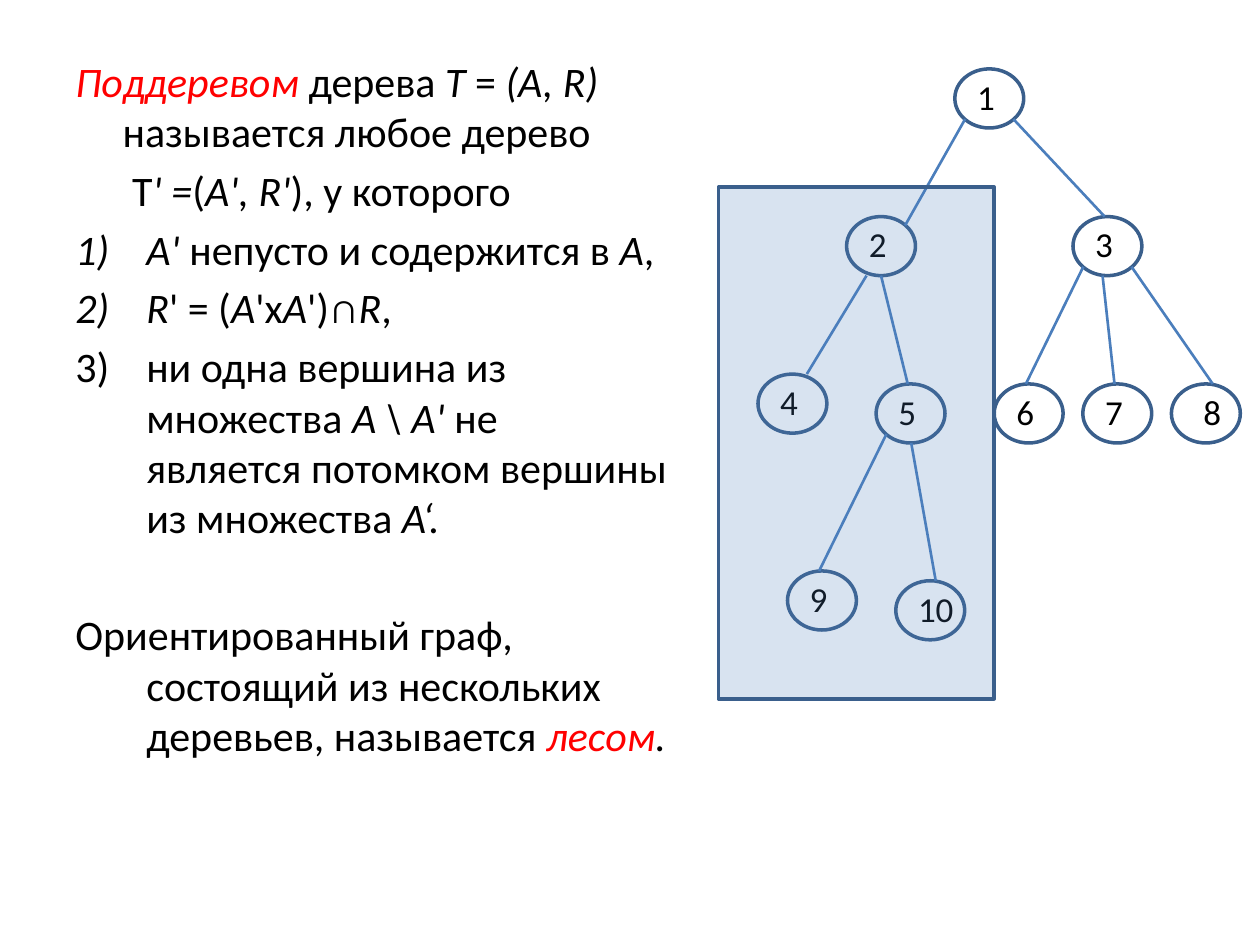
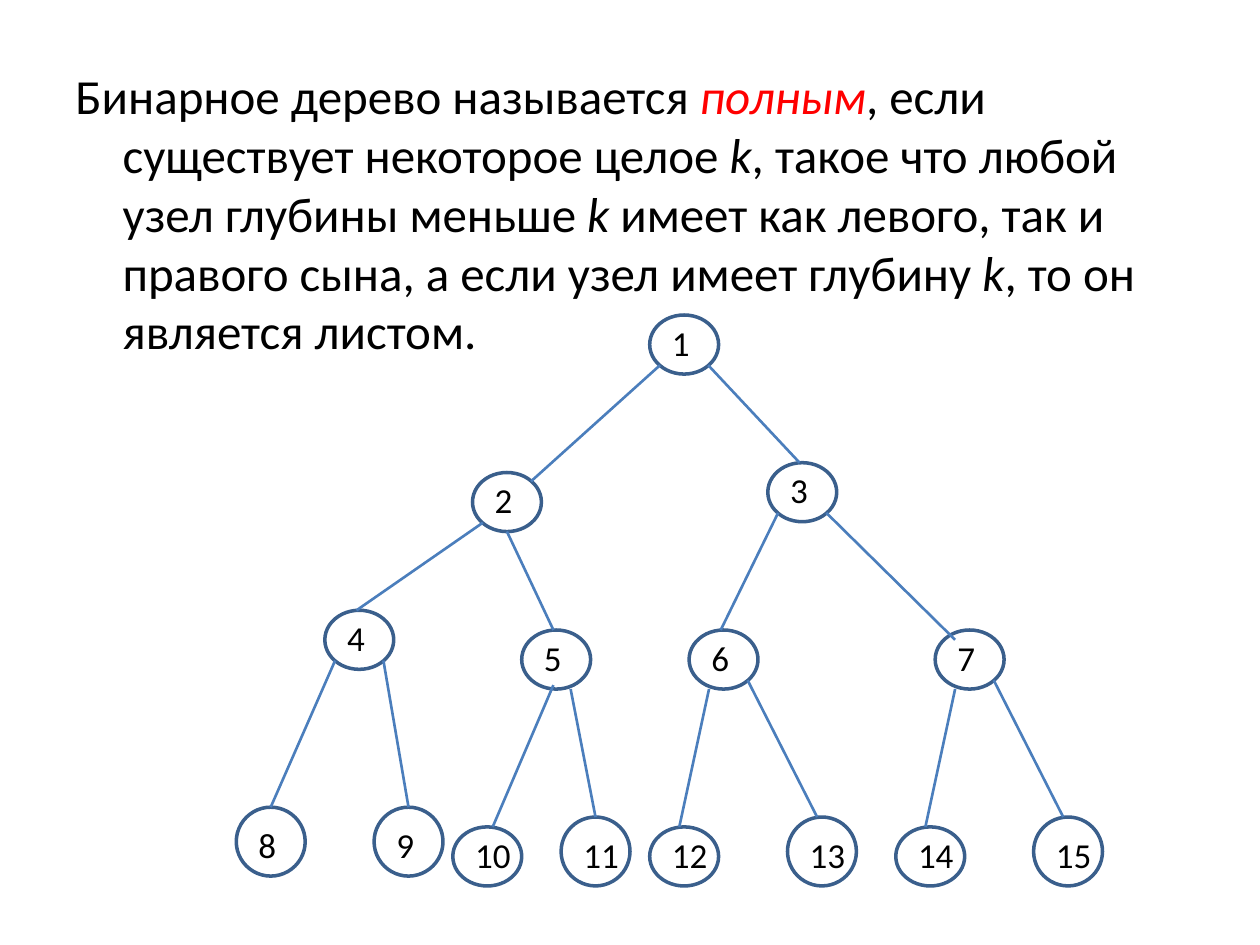
"""Builds two slides on subtrees and complete binary trees."""
import pptx
import pptx.dml.color
import pptx.enum.shapes
import pptx.enum.text
import pptx.oxml.ns
import pptx.util
from lxml import etree

Pt = pptx.util.Pt
SHAPE = pptx.enum.shapes.MSO_SHAPE
COLORS = {"text": "000000", "term": "FF0000", "outline": "3A5F8C", "edge": "4B7EBC", "subtree": "4F81BD"}
FORMATS = {
    "plain": {"italic": False},
    "math": {"italic": True},
    "term": {"italic": True},
}
GRID = 45 / 8
NODE_W, NODE_H = 7, 6
CORNER = 0.15


def rgb(name):
    return pptx.dml.color.RGBColor.from_string(COLORS[name])


def add_xml(parent, tag, **attrs):
    return etree.SubElement(parent, pptx.oxml.ns.qn(tag), attrs)


class Deck:
    def __init__(self):
        self.prs = pptx.Presentation()
        self.prs.slide_width, self.prs.slide_height = Pt(720), Pt(540)
        self.s = None

    def slide(self):
        self.s = self.prs.slides.add_slide(self.prs.slide_layouts[6])

    def run(self, p, text, size, style="plain"):
        r = p.add_run()
        r.text = text
        values = {"name": "Calibri", "size": Pt(size), **FORMATS[style]}
        for key, value in values.items():
            setattr(r.font, key, value)
        r.font.color.rgb = rgb("term" if style == "term" else "text")

    def textbox(self, x, y, w, h, wrap=True):
        tf = self.s.shapes.add_textbox(Pt(x), Pt(y), Pt(w), Pt(h)).text_frame
        tf.word_wrap = wrap
        return tf

    def body(self, box, size, paragraphs):
        tf = self.textbox(*box)
        for i, (layout, runs) in enumerate(paragraphs):
            p = tf.add_paragraph() if i else tf.paragraphs[0]
            p.space_before = Pt(layout.get("before", size * 0.2))
            pPr = p._p.get_or_add_pPr()
            pPr.set("marL", str(Pt(layout["left"])))
            pPr.set("indent", str(Pt(layout["indent"])))
            if layout.get("numbered"):
                add_xml(pPr, "a:buFont", typeface="+mj-lt")
                add_xml(pPr, "a:buAutoNum", type="arabicParenR")
            for text, *style in runs:
                if text == "\n":
                    p.add_line_break()
                else:
                    self.run(p, text, size, *style)

    def shape(self, kind, x, y, w, h, fill=None, opacity=100):
        sp = self.s.shapes.add_shape(kind, *(Pt(v * GRID) for v in (x, y, w, h)))
        sp.shadow.inherit = False
        sp.line.color.rgb = rgb("outline")
        sp.line.width = Pt(2)
        if fill is None:
            sp.fill.background()
            return
        sp.fill.solid()
        sp.fill.fore_color.rgb = rgb(fill)
        color = sp._element.spPr.find(".//" + pptx.oxml.ns.qn("a:srgbClr"))
        add_xml(color, "a:alpha", val=str(opacity * 1000))

    def node(self, number, x, y, h=NODE_H, label_dx=1):
        self.shape(SHAPE.OVAL, x, y, NODE_W, h)
        label = str(number)
        width = 24.5 if len(label) == 1 else 35.3
        tf = self.textbox((x + label_dx) * GRID, (y + h - NODE_H) * GRID, width, 31.5, wrap=False)
        tf.auto_size = pptx.enum.text.MSO_AUTO_SIZE.SHAPE_TO_FIT_TEXT
        self.run(tf.paragraphs[0], label, 20)

    def edge(self, parent, start, child, end, lift=0, drop=0):
        def inset(across):
            return CORNER * NODE_H if across in (CORNER, 1 - CORNER) else 0

        x1, y1 = parent[0] + start * NODE_W, parent[1] + NODE_H - inset(start) - lift
        x2, y2 = child[0] + end * NODE_W, child[1] + inset(end) + drop
        c = self.s.shapes.add_connector(
            pptx.enum.shapes.MSO_CONNECTOR.STRAIGHT, *(Pt(v * GRID) for v in (x1, y1, x2, y2)))
        c.line.color.rgb = rgb("edge")
        c.line.width = Pt(1.5)
        add_xml(c._element.spPr, "a:effectLst")

    def tree(self, nodes, edges):
        for number, place in nodes.items():
            self.node(number, *place)
        for parent, start, child, end, *shift in edges:
            self.edge(nodes[parent], start, nodes[child], end, *shift)


HANGING = {"left": 27, "indent": -27}
DEEP = {"left": 40.5, "indent": -40.5}
NUMBERED = {**DEEP, "numbered": True}

SUBTREE_TEXT = [
    (HANGING, [("Поддеревом ", "term"), ("дерева ",), ("Т ", "math"), ("= ",), ("(А, R) ", "math"),
               ("называется любое дерево",)]),
    ({"left": 32.4, "indent": 0}, [("T",), ("' =", "math"), ("(",), ("А', R'", "math"), ("), у которого",)]),
    (NUMBERED, [("А' ", "math"), ("непусто и содержится в ",), ("A", "math"), (",",)]),
    (NUMBERED, [("R", "math"), ("' = (",), ("A", "math"), ("'х",), ("A", "math"), ("')∩",),
                ("R", "math"), (",",)]),
    (NUMBERED, [("ни одна вершина из множества ",), ("А \\ А' ", "math"), ("не",), ("\n",),
                ("является потомком вершины из множества ",), ("А‘.", "math")]),
    ({**DEEP, "before": 38}, [("Ориентированный граф, состоящий из нескольких деревьев, называется ",),
                              ("лесом", "term"), (".", "math")]),
]
SUBTREE_NODES = {
    1: (97, 7), 2: (86, 22), 3: (109, 22), 4: (77, 38), 5: (89, 39),
    6: (101, 39), 7: (110, 39), 8: (119, 39, NODE_H, 2), 9: (80, 58), 10: (91, 59),
}
SUBTREE_EDGES = [
    (1, 0.15, 2, 0.85), (1, 0.85, 3, 0.46), (2, 0.29, 4, 0.71), (2, 0.5, 5, 0.46),
    (3, 0.15, 6, 0.46), (3, 0.43, 7, 0.46), (3, 0.85, 8, 0.6),
    (5, 0.15, 9, 0.46), (5, 0.51, 10, 0.58),
]

COMPLETE_TEXT = [
    (HANGING, [("Бинарное дерево называется ",), ("полным", "term"),
               (", если существует некоторое целое ",), ("k", "math"),
               (", такое что любой узел глубины меньше ",), ("k", "math"),
               (" имеет как левого, так и правого сына, а если узел имеет глубину ",), ("k", "math"),
               (", то он является листом.",)]),
]
COMPLETE_NODES = {
    1: (66, 32), 2: (48, 48), 3: (78, 47), 4: (33, 62), 5: (53, 64), 6: (70, 64), 7: (95, 64),
    8: (24, 82, 7), 9: (38, 82, 7), 10: (46, 84), 11: (57, 83, 7),
    12: (66, 84), 13: (80, 83, 7), 14: (91, 84), 15: (105, 83, 7),
}
COMPLETE_EDGES = [
    (1, 0.15, 2, 0.85), (1, 0.85, 3, 0.46), (2, 0.15, 4, 0.46), (2, 0.5, 5, 0.46),
    (3, 0.15, 6, 0.46), (3, 0.85, 7, 0.29, 0, 1), (4, 0.15, 8, 0.5), (4, 0.85, 9, 0.5),
    (5, 0.46, 10, 0.58, 0.4), (5, 0.71, 11, 0.5), (6, 0.29, 12, 0.43), (6, 0.85, 13, 0.43),
    (7, 0.29, 14, 0.43), (7, 0.85, 15, 0.43),
]


def main():
    deck = Deck()
    deck.slide()
    deck.body((36, 28, 369.5, 422), 24, SUBTREE_TEXT)
    deck.tree(SUBTREE_NODES, SUBTREE_EDGES)
    deck.shape(SHAPE.RECTANGLE, 73, 19, 28, 52, fill="subtree", opacity=22)
    deck.slide()
    deck.body((36, 34, 648, 168.5), 28, COMPLETE_TEXT)
    deck.tree(COMPLETE_NODES, COMPLETE_EDGES)
    deck.prs.save("out.pptx")


if __name__ == "__main__":
    main()
